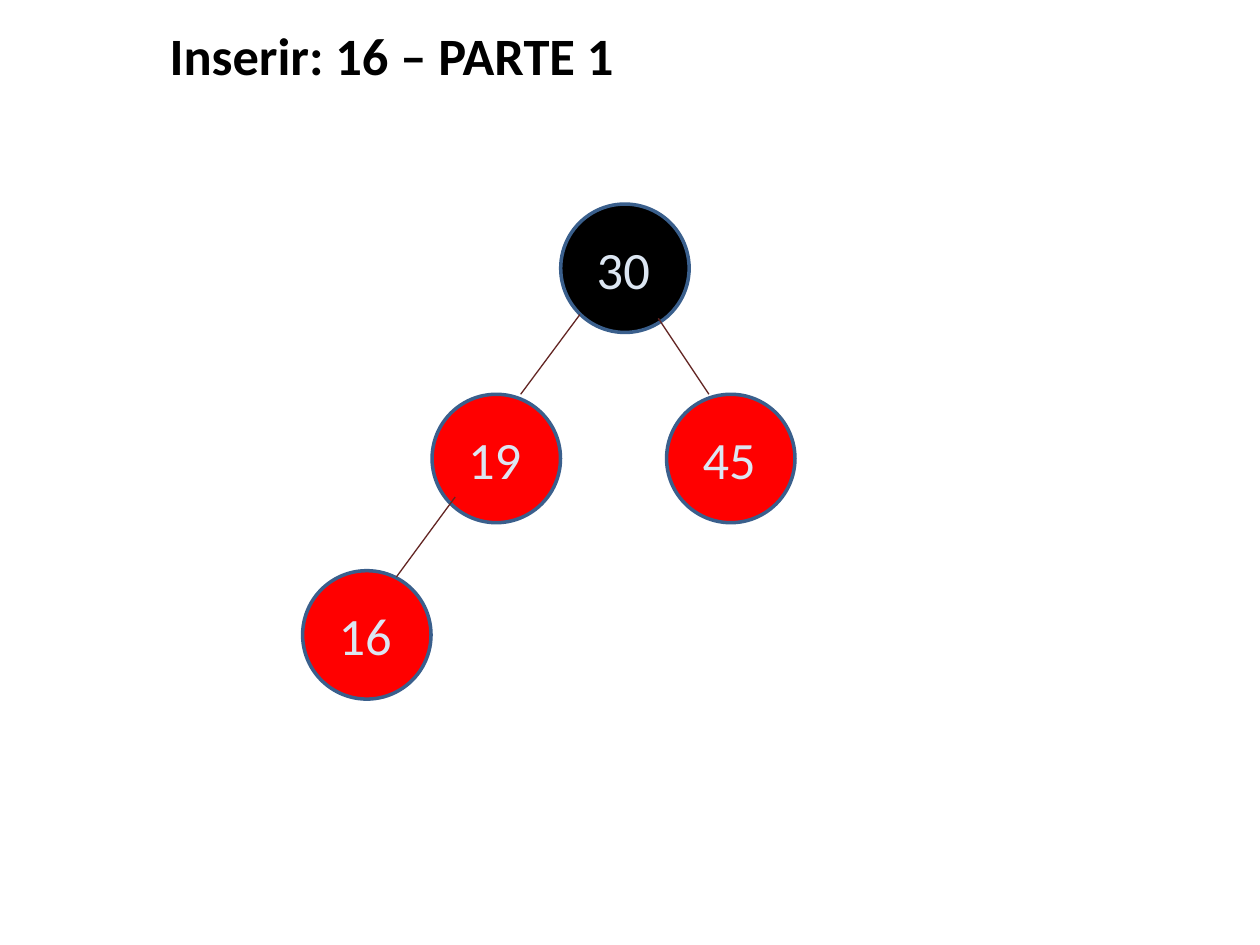
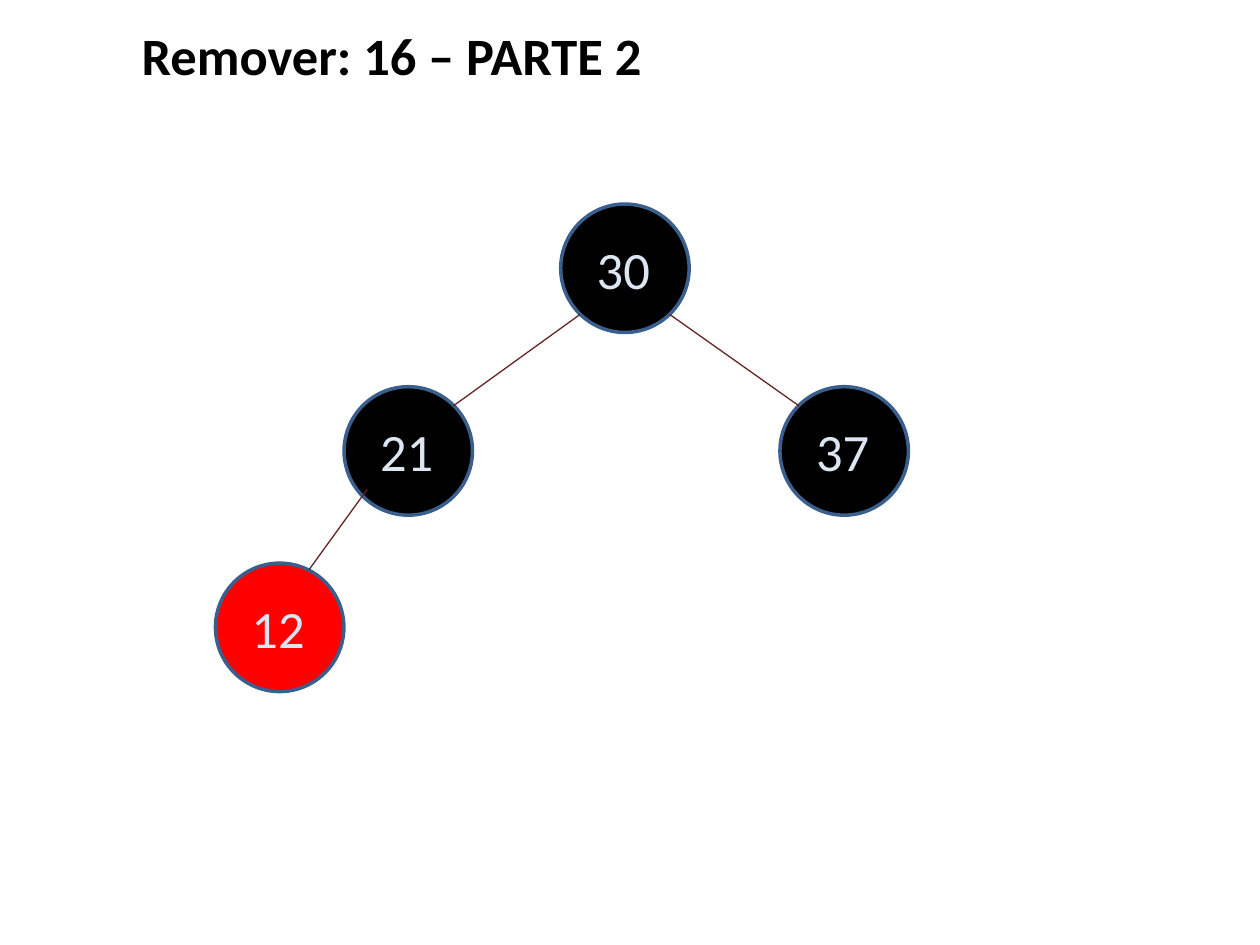
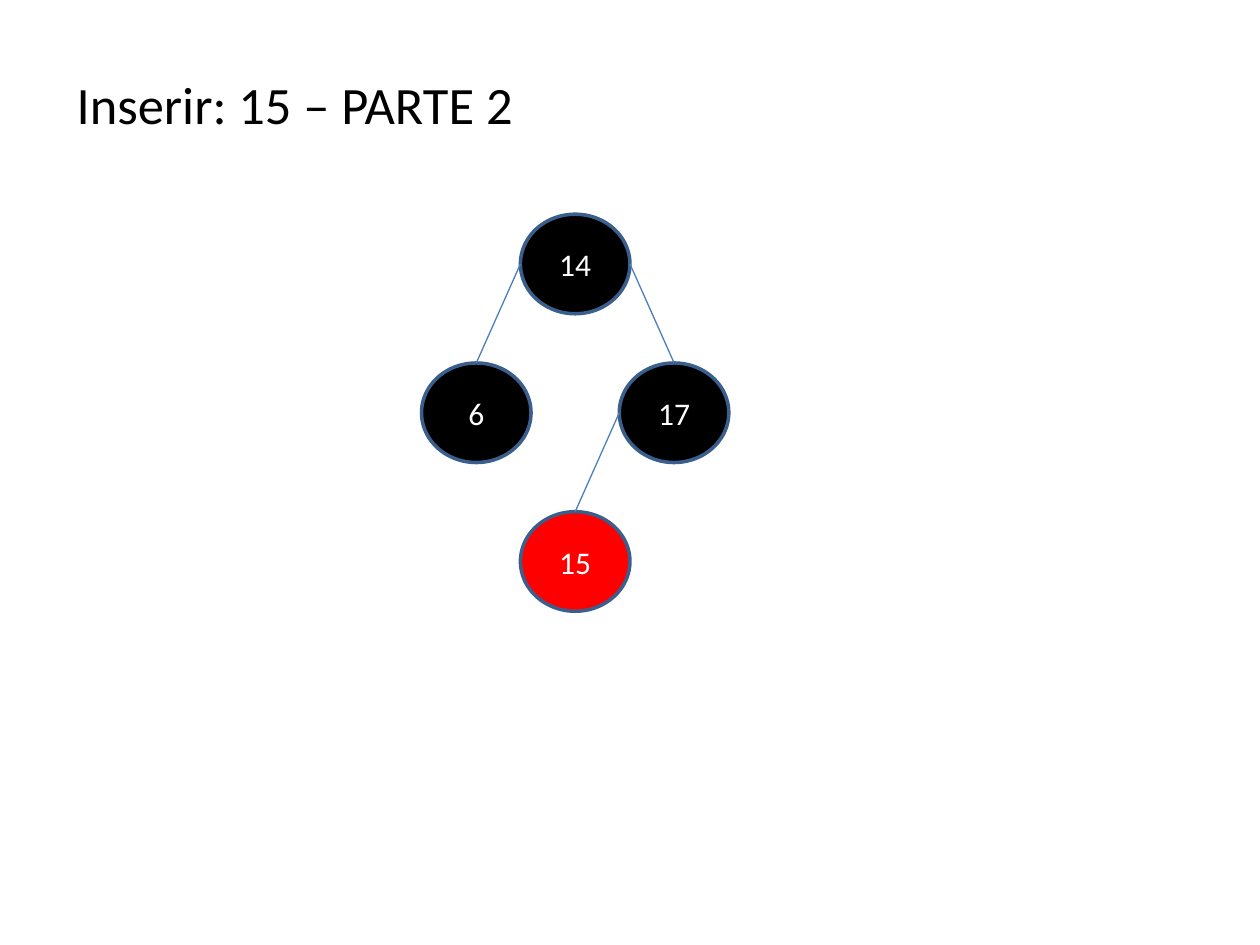
from dataclasses import dataclass

import pptx
import pptx.dml.color
import pptx.enum.shapes
import pptx.enum.text
import pptx.oxml.ns
import pptx.util
from lxml import etree

Pt = pptx.util.Pt
ALIGN = pptx.enum.text.PP_ALIGN
ANCHOR = pptx.enum.text.MSO_ANCHOR

FONT = "Calibri"
TITLE_SIZE = 30
BLACK, RED, WHITE = "000000", "FF0000", "FFFFFF"
OUTLINE, PALE_BLUE = "3A5F8C", "DCE6F2"
MAROON, BLUE = "632523", "4B7EBC"

# Points on a node, as fractions of its width and height
TOP, LEFT, RIGHT = (0.5, 0), (0, 0.5), (1, 0.5)
TOP_LEFT, TOP_RIGHT = (0.15, 0.15), (0.85, 0.15)
BOTTOM_LEFT, BOTTOM_RIGHT = (0.15, 0.86), (0.85, 0.86)
INNER_LEFT, UPPER_RIGHT = (0.18, 0.8), (0.73, 0.05)
CROWN_LEFT, CROWN_RIGHT = (0.33, 0), (0.69, 0)
LOW_RIGHT = (0.76, 0.89)


@dataclass
class TreeStyle:
    node_width: float
    node_height: float
    font_size: float
    text_color: str
    edge_color: str
    label_box: tuple = None  # separate label, relative to its node


LARGE = TreeStyle(73.4, 73.4, 30, PALE_BLUE, MAROON, (13.5, 15.1, 46.8, 43.9))
SMALL = TreeStyle(62.6, 56.9, 18, WHITE, BLUE)


def rgb(value):
    return pptx.dml.color.RGBColor.from_string(value)


def points(*lengths):
    return [Pt(length) for length in lengths]


def write(shape, text, size, color, alignment, bold=False):
    frame = shape.text_frame
    frame.text = text
    paragraph = frame.paragraphs[0]
    paragraph.alignment = alignment
    font = paragraph.runs[0].font
    font.name, font.size, font.bold = FONT, Pt(size), bold
    font.color.rgb = rgb(color)


def add_title(slide, box, text, alignment, bold):
    title = slide.shapes.add_textbox(*points(*box))
    title.text_frame.word_wrap = True
    write(title, text, TITLE_SIZE, BLACK, alignment, bold)


def add_node(slide, left, top, key, fill, style):
    node = slide.shapes.add_shape(
        pptx.enum.shapes.MSO_SHAPE.OVAL,
        *points(left, top, style.node_width, style.node_height))
    node.shadow.inherit = False
    node.fill.solid()
    node.fill.fore_color.rgb = rgb(fill)
    node.line.color.rgb = rgb(OUTLINE)
    node.line.width = Pt(2)
    label, alignment = node, ALIGN.CENTER
    if style.label_box:
        x, y, width, height = style.label_box
        label = slide.shapes.add_textbox(*points(left + x, top + y, width, height))
        alignment = ALIGN.LEFT
    else:
        node.text_frame.vertical_anchor = ANCHOR.MIDDLE
    write(label, key, style.font_size, style.text_color, alignment)
    return node


def add_edge(slide, parent, start, child, end, color):
    def place(node, anchor):
        return (round(node.left + anchor[0] * node.width),
                round(node.top + anchor[1] * node.height))

    edge = slide.shapes.add_connector(
        pptx.enum.shapes.MSO_CONNECTOR.STRAIGHT,
        *place(parent, start), *place(child, end))
    if end == TOP:
        edge.end_connect(child, 0)
    edge.line.color.rgb = rgb(color)
    edge.line.width = Pt(0.75)
    properties = edge._element.spPr
    etree.SubElement(properties, pptx.oxml.ns.qn("a:effectLst"))


def add_tree(slide, origin, nodes, edges, style):
    """Draw nodes at offsets from the root's corner, then join them."""
    left, top = origin
    placed = {key: add_node(slide, left + x, top + y, key, fill, style)
              for key, x, y, fill in nodes}
    for parent, start, child, end in edges:
        add_edge(slide, placed[parent], start, placed[child], end, style.edge_color)


BOLD_TITLE = dict(box=(8.6, 9.4, 430.6, 51.1), alignment=ALIGN.CENTER, bold=True)
PLAIN_TITLE = dict(box=(36.7, 37.4, 481.7, 62.6), alignment=ALIGN.JUSTIFY, bold=False)
LARGE_ORIGIN, SMALL_ORIGIN = (320.4, 116.6), (297.4, 122.4)
STEP_X, STEP_Y = 56.5, 85

SLIDES = [
    ("Inserir: 16 – PARTE 1", BOLD_TITLE, LARGE_ORIGIN, LARGE,
     [("30", 0, 0, BLACK), ("19", -73.5, 108.7, RED),
      ("45", 60.5, 108.7, RED), ("16", -147.5, 209.5, RED)],
     [("30", BOTTOM_LEFT, "19", CROWN_RIGHT),
      ("30", LOW_RIGHT, "45", CROWN_LEFT),
      ("19", INNER_LEFT, "16", UPPER_RIGHT)]),
    ("Remover: 16 – PARTE 2", BOLD_TITLE, LARGE_ORIGIN, LARGE,
     [("30", 0, 0, BLACK), ("21", -123.8, 104.4, BLACK),
      ("12", -197.3, 205.2, RED), ("37", 125.3, 104.4, BLACK)],
     [("30", BOTTOM_LEFT, "21", TOP_RIGHT),
      ("30", BOTTOM_RIGHT, "37", TOP_LEFT),
      ("21", INNER_LEFT, "12", UPPER_RIGHT)]),
    ("Inserir: 15 – PARTE 2", PLAIN_TITLE, SMALL_ORIGIN, SMALL,
     [("14", 0, 0, BLACK), ("6", -STEP_X, STEP_Y, BLACK),
      ("17", STEP_X, STEP_Y, BLACK), ("15", 0, 2 * STEP_Y, RED)],
     [("14", LEFT, "6", TOP), ("14", RIGHT, "17", TOP), ("17", LEFT, "15", TOP)]),
]


def main():
    presentation = pptx.Presentation()
    presentation.slide_width, presentation.slide_height = points(720, 540)
    for text, title, origin, style, nodes, edges in SLIDES:
        slide = presentation.slides.add_slide(presentation.slide_layouts[6])
        add_title(slide, text=text, **title)
        add_tree(slide, origin, nodes, edges, style)
    presentation.save("out.pptx")


if __name__ == "__main__":
    main()
